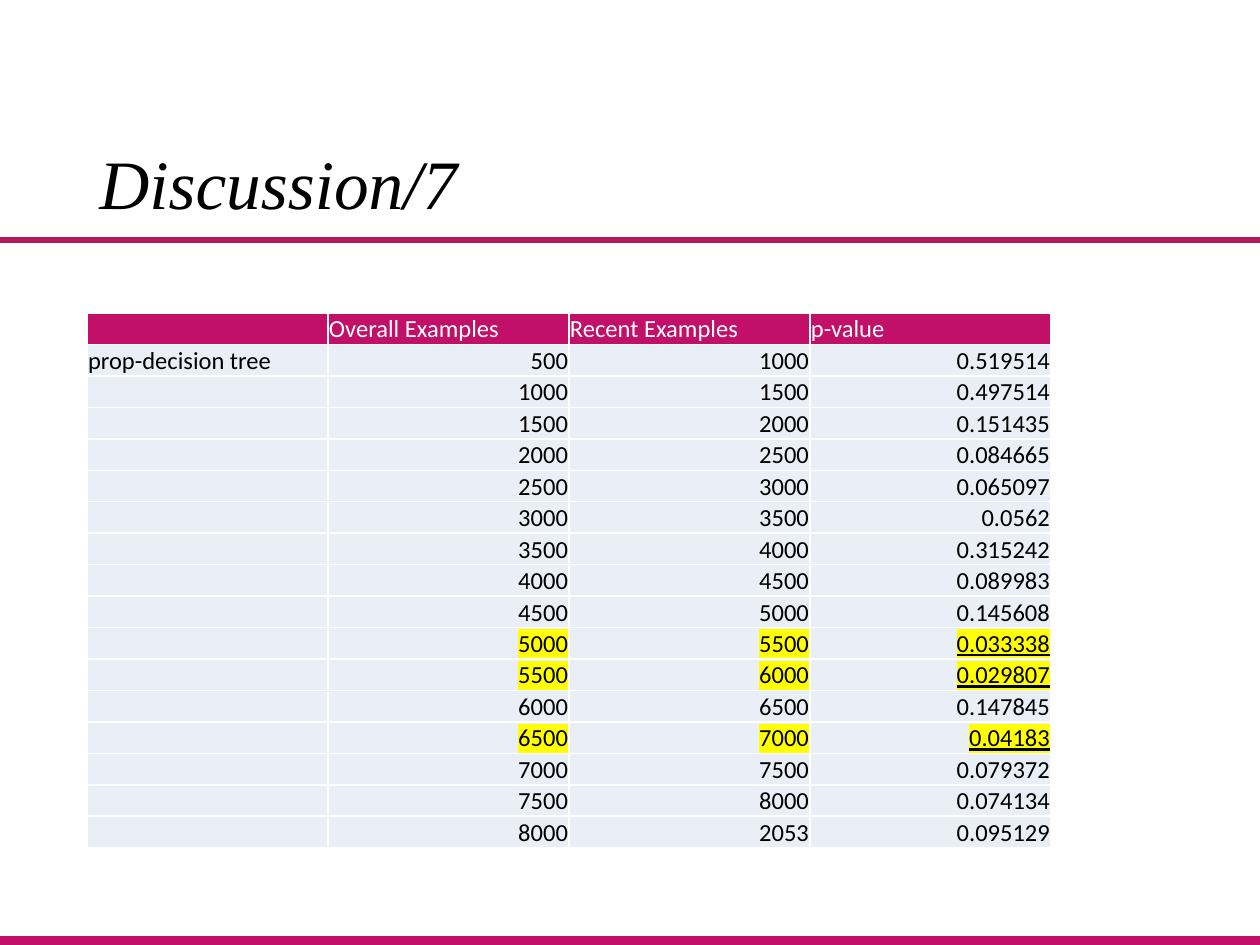
"""Build the Discussion/7 slide: a titled table of p-values with the significant rows marked."""
from lxml import etree
from pptx import Presentation
from pptx.dml.color import RGBColor
from pptx.enum.shapes import MSO_SHAPE
from pptx.enum.text import MSO_ANCHOR, PP_ALIGN
from pptx.oxml.ns import qn
from pptx.util import Pt

RECTANGLE = MSO_SHAPE.RECTANGLE
MIDDLE, BOTTOM = MSO_ANCHOR.MIDDLE, MSO_ANCHOR.BOTTOM
LEFT, RIGHT = PP_ALIGN.LEFT, PP_ALIGN.RIGHT

TITLE = "Discussion/7"
HEADER = ("", "Overall Examples", "Recent Examples", "p-value")
METHOD = "prop-decision tree"
RESULTS = [
    (500, 1000, 0.519514),
    (1000, 1500, 0.497514),
    (1500, 2000, 0.151435),
    (2000, 2500, 0.084665),
    (2500, 3000, 0.065097),
    (3000, 3500, 0.0562),
    (3500, 4000, 0.315242),
    (4000, 4500, 0.089983),
    (4500, 5000, 0.145608),
    (5000, 5500, 0.033338),
    (5500, 6000, 0.029807),
    (6000, 6500, 0.147845),
    (6500, 7000, 0.04183),
    (7000, 7500, 0.079372),
    (7500, 8000, 0.074134),
    (8000, 2053, 0.095129),
]
SIGNIFICANCE = 0.05

THEME = {
    "accent": "C21069", "rule": "B3195A", "band": "EAEFF7",
    "ink": "000000", "paper": "FFFFFF", "mark": "FFFF00",
    "title_font": "Times New Roman", "title_size": 39.6,
    "table_font": "Calibri", "table_size": 14, "border": 1,
}
PAGE = (1260, 945)
BARS = [((-1, 936, 1261, 9), "accent"), ((-1, 237, 1261, 6), "rule")]
TITLE_AREA = (87, 142, 1086, 91)
TABLE_AREA = (87, 313, 964, 535)
CELL_INSET = 1
EMU_PER_PIXEL = 914400 / 126


def emu(*pixels):
    return [round(value * EMU_PER_PIXEL) for value in pixels]


def color(name):
    return RGBColor.from_string(THEME[name])


def style_font(font, kind, ink):
    font.name = THEME[kind + "_font"]
    font.size = Pt(THEME[kind + "_size"])
    font.color.rgb = color(ink)


def add_bar(page, area, fill):
    bar = page.shapes.add_shape(RECTANGLE, *emu(*area))
    bar.shadow.inherit = False
    bar.fill.solid()
    bar.fill.fore_color.rgb = color(fill)
    bar.line.fill.background()


def add_title(page):
    box = page.shapes.add_textbox(*emu(*TITLE_AREA))
    frame = box.text_frame
    frame.word_wrap = True
    frame.vertical_anchor = MIDDLE
    para = frame.paragraphs[0]
    para.line_spacing = 0.9
    para.add_run().text = TITLE
    style_font(para.font, "title", "ink")
    para.font.italic = True


def add_color(parent, name):
    etree.SubElement(parent, qn("a:srgbClr"), val=THEME[name])


def add_borders(cell):
    properties = cell._tc.get_or_add_tcPr()
    for side in ("a:lnL", "a:lnR", "a:lnT", "a:lnB"):
        line = etree.SubElement(properties, qn(side), w=str(Pt(THEME["border"])))
        add_color(etree.SubElement(line, qn("a:solidFill")), "paper")


def fill_cell(cell, value, is_header, marked, underlined):
    add_borders(cell)
    cell.fill.solid()
    cell.fill.fore_color.rgb = color("accent" if is_header else "band")
    cell.vertical_anchor = BOTTOM
    cell.margin_left = cell.margin_right = cell.margin_top = emu(CELL_INSET)[0]
    cell.margin_bottom = 0
    para = cell.text_frame.paragraphs[0]
    para.alignment = LEFT if isinstance(value, str) else RIGHT
    style_font(para.font, "table", "paper" if is_header else "ink")
    if value == "":
        size = str(THEME["table_size"] * 100)
        etree.SubElement(para._p, qn("a:endParaRPr"), sz=size)
        return
    span = para.add_run()
    span.text = str(value)
    if underlined:
        span.font.underline = True
    if marked:
        properties = span._r.get_or_add_rPr()
        add_color(etree.SubElement(properties, qn("a:highlight")), "mark")


def add_results(page):
    labels = [METHOD] + [""] * (len(RESULTS) - 1)
    rows = [HEADER] + [(label, *result) for label, result in zip(labels, RESULTS)]
    frame = page.shapes.add_table(len(rows), len(HEADER), *emu(*TABLE_AREA))
    table = frame.table
    table.first_row = table.horz_banding = False
    for row_index, row in enumerate(rows):
        is_header = row_index == 0
        significant = not is_header and row[-1] < SIGNIFICANCE
        for column, value in enumerate(row):
            underlined = significant and column == len(row) - 1
            fill_cell(table.cell(row_index, column), value, is_header,
                      significant, underlined)


deck = Presentation()
deck.slide_width, deck.slide_height = emu(*PAGE)
page = deck.slides.add_slide(deck.slide_layouts[6])
for area, fill in BARS:
    add_bar(page, area, fill)
add_title(page)
add_results(page)
deck.save("out.pptx")
